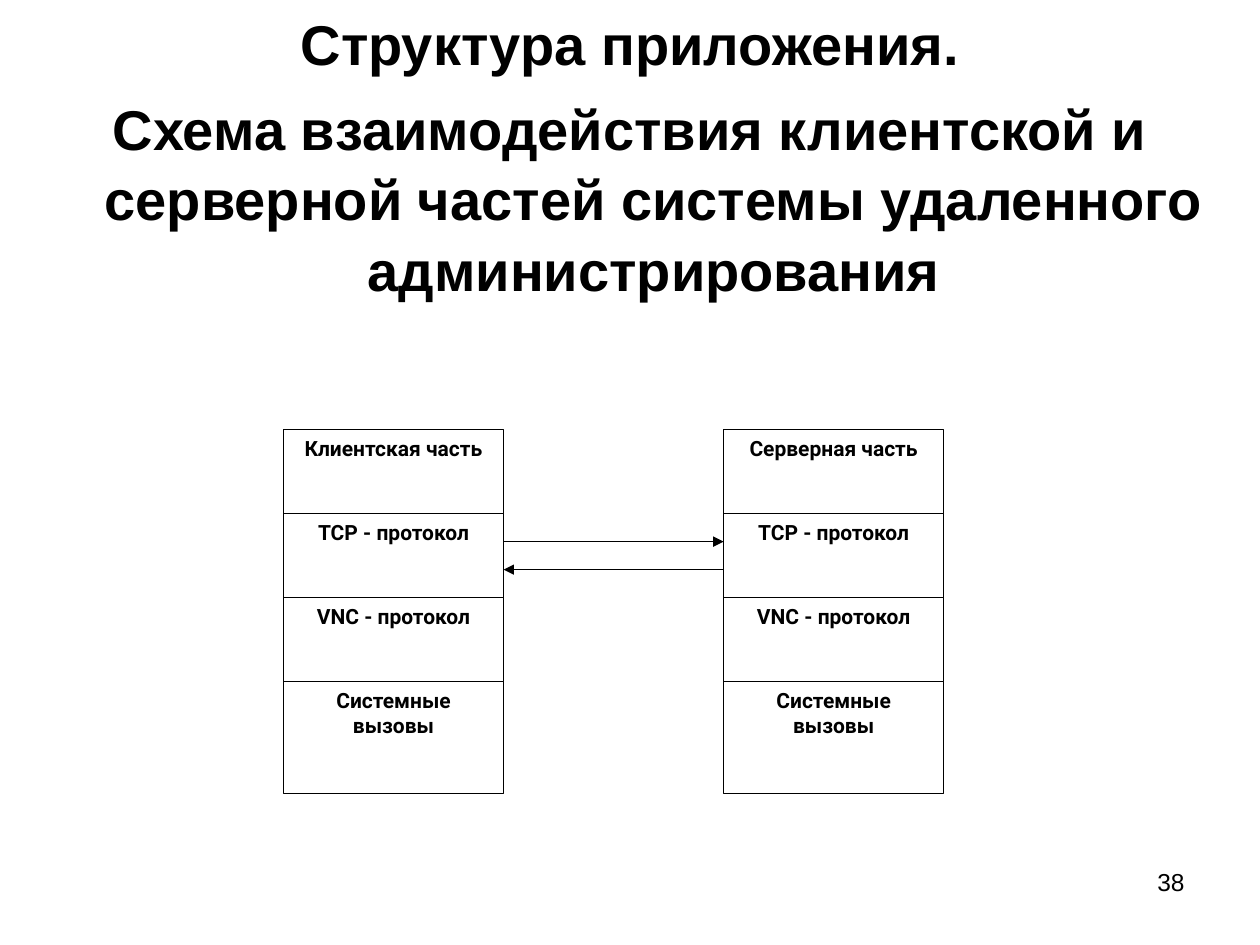
"""Build the slide on how the client and server parts interact."""
from dataclasses import dataclass
from itertools import accumulate

from lxml import etree
from pptx import Presentation
from pptx.dml.color import RGBColor
from pptx.enum.shapes import MSO_CONNECTOR, MSO_SHAPE
from pptx.enum.text import MSO_ANCHOR, PP_ALIGN
from pptx.oxml.ns import qn
from pptx.util import Inches, Pt

RECTANGLE = MSO_SHAPE.RECTANGLE
STRAIGHT = MSO_CONNECTOR.STRAIGHT
TOP = MSO_ANCHOR.TOP
CENTER, RIGHT = PP_ALIGN.CENTER, PP_ALIGN.RIGHT

HEADING = [
    "Структура приложения.",
    "Схема взаимодействия клиентской и серверной частей системы удаленного администрирования",
]
LAYERS = ["TCP - протокол", "VNC - протокол", "Системные вызовы"]
STACKS = [(0, "Клиентская часть"), (2, "Серверная часть")]
LAYER_UNITS = [3, 3, 3, 4]
ARROWS = [(1, 2, 4), (2, 1, 5)]
PAGE_NUMBER = "38"


@dataclass(frozen=True)
class Theme:
    ink: RGBColor = RGBColor(0, 0, 0)
    paper: RGBColor = RGBColor(255, 255, 255)
    text_font: str = "Arial"
    diagram_font: str = "Roboto"
    heading_size: int = 32
    number_size: int = 14
    layer_size: int = 12
    line_width: float = 0.75


THEME = Theme()
WIDTH, HEIGHT = Inches(10), Inches(7.5)
GRID_LEFT, GRID_TOP = Inches(2.25), Inches(3.41)
COLUMN, UNIT = Inches(5.24) // 3, Inches(2) // 9


def write(para, text, font, size, bold, align):
    para.alignment = align
    span = para.add_run()
    span.text = text
    span.font.name, span.font.size, span.font.bold = font, Pt(size), bold
    span.font.color.rgb = THEME.ink


def add_heading(page):
    page.shapes.title.element.getparent().remove(page.shapes.title.element)
    box = page.placeholders[1]
    box.left, box.top, box.width, box.height = 0, 0, WIDTH, HEIGHT
    frame = box.text_frame
    frame.vertical_anchor = TOP
    for index, text in enumerate(HEADING):
        para = frame.add_paragraph() if index else frame.paragraphs[0]
        para.space_before, para.line_spacing = Pt(8), 1.05
        write(para, text, THEME.text_font, THEME.heading_size, True, CENTER)
        properties = para._p.get_or_add_pPr()
        properties.set("marL", str(Inches(0.38)))
        properties.set("indent", str(-Inches(0.38)))
        etree.SubElement(properties, qn("a:buNone"))


def style_line(line):
    line.color.rgb = THEME.ink
    line.width = Pt(THEME.line_width)


def add_layer(shapes, column, start, units, text):
    box = shapes.add_shape(RECTANGLE, GRID_LEFT + column * COLUMN,
                           GRID_TOP + start * UNIT, COLUMN, units * UNIT)
    box.shadow.inherit = False
    box.fill.solid()
    box.fill.fore_color.rgb = THEME.paper
    style_line(box.line)
    frame = box.text_frame
    frame.word_wrap, frame.vertical_anchor = True, TOP
    write(frame.paragraphs[0], text, THEME.diagram_font, THEME.layer_size, True, CENTER)


def add_arrow(shapes, start, end, row):
    level = GRID_TOP + row * UNIT
    arrow = shapes.add_connector(STRAIGHT, GRID_LEFT + start * COLUMN, level,
                                 GRID_LEFT + end * COLUMN, level)
    style_line(arrow.line)
    etree.SubElement(arrow.line._get_or_add_ln(), qn("a:tailEnd"), type="triangle")
    etree.SubElement(arrow.element.spPr, qn("a:effectLst"))


def add_diagram(page):
    shapes = page.shapes.add_group_shape().shapes
    starts = list(accumulate(LAYER_UNITS, initial=0))
    for column, name in STACKS:
        for start, units, text in zip(starts, LAYER_UNITS, [name, *LAYERS]):
            add_layer(shapes, column, start, units, text)
    for start, end, row in ARROWS:
        add_arrow(shapes, start, end, row)


def add_number(page):
    box = page.shapes.add_textbox(Inches(7.17), Inches(6.83), Inches(2.33), Inches(0.52))
    box.text_frame.word_wrap = True
    write(box.text_frame.paragraphs[0], PAGE_NUMBER, THEME.text_font,
          THEME.number_size, False, RIGHT)


def main():
    deck = Presentation()
    deck.slide_width, deck.slide_height = WIDTH, HEIGHT
    page = deck.slides.add_slide(deck.slide_layouts[1])
    add_heading(page)
    add_diagram(page)
    add_number(page)
    deck.save("out.pptx")


if __name__ == "__main__":
    main()
